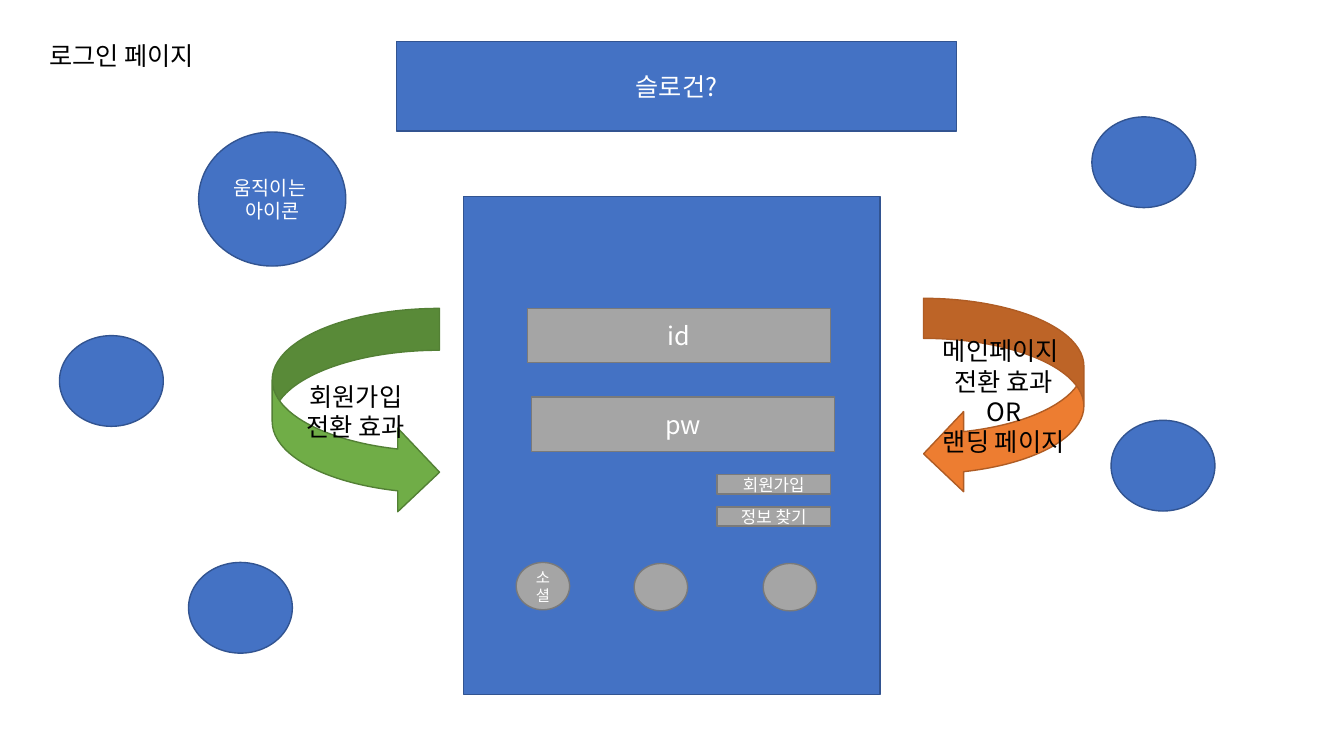
import dataclasses

import lxml.etree
import pptx
import pptx.dml.color
import pptx.enum.shapes
import pptx.enum.text
import pptx.oxml.ns
import pptx.util

Inches = pptx.util.Inches
Kind = pptx.enum.shapes.MSO_SHAPE
Align = pptx.enum.text.PP_ALIGN
Anchor = pptx.enum.text.MSO_ANCHOR


@dataclasses.dataclass(frozen=True)
class Paint:
    fill: str
    line: str


@dataclasses.dataclass(frozen=True)
class Theme:
    font: str = "Noto Sans CJK KR"
    dark: str = "000000"
    light: str = "FFFFFF"
    blue: Paint = Paint("4472C4", "325491")
    gray: Paint = Paint("A5A5A5", "7A7A7A")
    green: Paint = Paint("70AD47", "538035")
    orange: Paint = Paint("ED7D31", "AF5C24")
    outline: float = 1
    body: float = 18
    icon: float = 14
    link: float = 12
    social: float = 11


THEME = Theme()


@dataclasses.dataclass(frozen=True)
class Figure:
    kind: Kind
    left: float
    top: float
    width: float
    height: float
    paint: Paint
    text: str = ""
    size: float = THEME.body
    color: str = THEME.light


def rgb(value: str) -> pptx.dml.color.RGBColor:
    return pptx.dml.color.RGBColor.from_string(value)


def write(box, text: str, *, size: float, color: str, align: Align, anchor: Anchor) -> None:
    frame = box.text_frame
    frame.word_wrap = True
    frame.vertical_anchor = anchor
    for index, line in enumerate(text.split("\n")):
        para = frame.add_paragraph() if index else frame.paragraphs[0]
        para.alignment = align
        span = para.add_run()
        span.text = line
        span.font.name = THEME.font
        span.font.size = pptx.util.Pt(size)
        span.font.color.rgb = rgb(color)
        properties = span.font._element
        lxml.etree.SubElement(properties, pptx.oxml.ns.qn("a:ea"), typeface=THEME.font)


def draw(page, figure: Figure) -> None:
    shape = page.shapes.add_shape(
        figure.kind,
        Inches(figure.left),
        Inches(figure.top),
        Inches(figure.width),
        Inches(figure.height),
    )
    shape.shadow.inherit = False
    shape.fill.solid()
    shape.fill.fore_color.rgb = rgb(figure.paint.fill)
    shape.line.color.rgb = rgb(figure.paint.line)
    shape.line.width = pptx.util.Pt(THEME.outline)
    if figure.text:
        write(shape, figure.text, size=figure.size, color=figure.color,
              align=Align.CENTER, anchor=Anchor.MIDDLE)


def floating_icon(left: float, top: float) -> Figure:
    return Figure(Kind.OVAL, left, top, 1.03, 0.9, THEME.blue)


def login_field(left: float, top: float, text: str) -> Figure:
    return Figure(Kind.RECTANGLE, left, top, 3.01, 0.54, THEME.gray, text)


def social_button(left: float, top: float, text: str = "") -> Figure:
    return Figure(Kind.OVAL, left, top, 0.53, 0.47, THEME.gray, text, THEME.social)


def link_button(top: float, text: str) -> Figure:
    return Figure(Kind.RECTANGLE, 7.11, top, 1.13, 0.19, THEME.gray, text, THEME.link)


FIGURES = [
    Figure(Kind.RECTANGLE, 4.6, 1.95, 4.13, 4.94, THEME.blue),
    floating_icon(0.59, 3.33),
    floating_icon(10.83, 1.16),
    floating_icon(1.87, 5.58),
    floating_icon(11.02, 4.17),
    Figure(Kind.OVAL, 1.97, 1.31, 1.46, 1.33, THEME.blue, "움직이는 \n아이콘", THEME.icon),
    Figure(Kind.RECTANGLE, 3.93, 0.41, 5.56, 0.89, THEME.blue, "슬로건?"),
    login_field(5.23, 3.06, "id"),
    login_field(5.27, 3.94, "pw"),
    social_button(5.12, 5.58, "소셜"),
    social_button(7.57, 5.59),
    social_button(6.29, 5.59),
    link_button(4.71, "회원가입"),
    link_button(5.03, "정보 찾기"),
    Figure(Kind.CURVED_RIGHT_ARROW, 2.7, 3.06, 1.66, 2.04, THEME.green,
           "회원가입\n전환 효과", color=THEME.dark),
    Figure(Kind.CURVED_LEFT_ARROW, 9.16, 2.96, 1.59, 1.94, THEME.orange,
           "메인페이지 \n전환 효과\nOR\n랜딩 페이지", color=THEME.dark),
]

deck = pptx.Presentation()
deck.slide_width = Inches(13.33)
deck.slide_height = Inches(7.5)
page = deck.slides.add_slide(deck.slide_layouts[6])

title = page.shapes.add_textbox(Inches(0.39), Inches(0.35), Inches(2.19), Inches(0.4))
write(title, "로그인 페이지", size=THEME.body, color=THEME.dark,
      align=Align.LEFT, anchor=Anchor.TOP)
for figure in FIGURES:
    draw(page, figure)

deck.save("out.pptx")
